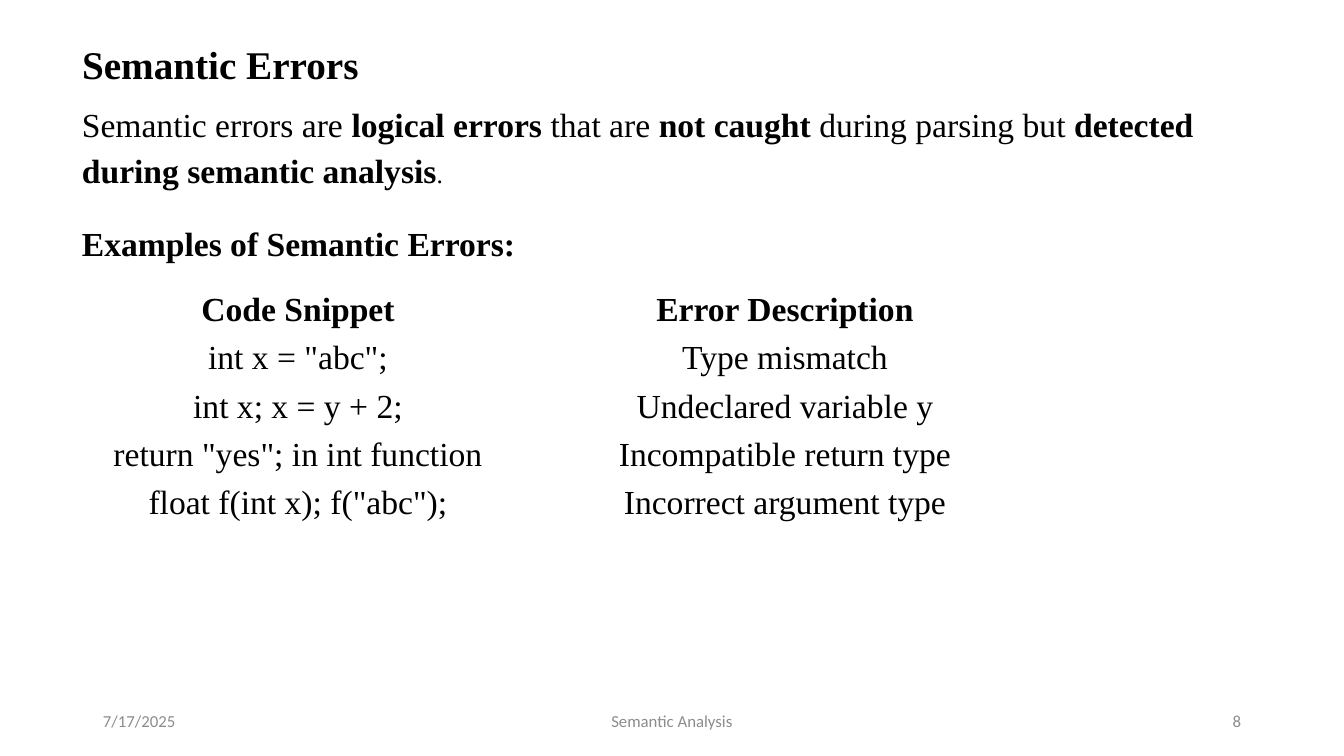
"""Build the Semantic Errors slide with its table of code snippets."""
from pptx import Presentation
from pptx.dml.color import RGBColor
from pptx.enum.text import MSO_ANCHOR, MSO_AUTO_SIZE, PP_ALIGN
from pptx.util import Emu, Pt

COLORS = {"text": "000000", "footer": "8C8C8C"}
SERIF = "Times New Roman"
BODY = {"line_spacing": 1.15, "space_before": Pt(0), "space_after": Pt(8)}


def px(length):
    return Emu(round(length * 914400 / 100.8))


def write(para, spans, layout, size=24, font=SERIF, color="text"):
    for name, value in layout.items():
        setattr(para, name, value)
    for text, bold, *own_size in spans:
        span = para.add_run()
        span.text = text
        span.font.color.rgb = RGBColor.from_string(COLORS[color])
        looks = {"name": font, "size": Pt(own_size[0] if own_size else size), "bold": bold}
        for name, value in looks.items():
            setattr(span.font, name, value)


deck = Presentation()
deck.slide_width, deck.slide_height = px(1344), px(756)
page = deck.slides.add_slide(deck.slide_layouts[5])

title = page.shapes.title
title.left, title.top, title.width, title.height = px(72), px(28), px(1151), px(65)
frame_format = {
    "word_wrap": True,
    "auto_size": MSO_AUTO_SIZE.NONE,
    "vertical_anchor": MSO_ANCHOR.TOP,
}
for name, value in frame_format.items():
    setattr(title.text_frame, name, value)
write(title.text_frame.paragraphs[0], [("Semantic Errors", True)],
      BODY | {"alignment": PP_ALIGN.LEFT}, size=28)

intro = [
    ("Semantic errors are ", False),
    ("logical errors", True),
    (" that are ", False),
    ("not caught", True),
    (" during parsing but ", False),
    ("detected during semantic analysis", True),
    (".", False, 18),
]
texts = [
    (72, 93, 1151, 102, intro),
    (72, 212, 672, 54, [("Examples of Semantic Errors:", True)]),
]
for left, top, width, height, spans in texts:
    box = page.shapes.add_textbox(px(left), px(top), px(width), px(height))
    box.text_frame.word_wrap = True
    write(box.text_frame.paragraphs[0], spans, BODY)

rows = [
    ("Code Snippet", "Error Description"),
    ('int x = "abc";', "Type mismatch"),
    ("int x; x = y + 2;", "Undeclared variable y"),
    ('return "yes"; in int function', "Incompatible return type"),
    ('float f(int x); f("abc");', "Incorrect argument type"),
]
widths = [410, 564]
table = page.shapes.add_table(len(rows), len(widths), px(93), px(283),
                              px(sum(widths)), px(44 * len(rows))).table
table.first_row = table.horz_banding = False
for column, width in zip(table.columns, widths):
    column.width = px(width)
cell_format = {f"margin_{side}": px(1) for side in ("left", "right", "top", "bottom")}
cell_format["vertical_anchor"] = MSO_ANCHOR.MIDDLE
for row_number, row in enumerate(rows):
    for column_number, text in enumerate(row):
        cell = table.cell(row_number, column_number)
        cell.fill.background()
        for name, value in cell_format.items():
            setattr(cell, name, value)
        write(cell.text_frame.paragraphs[0], [(text, row_number == 0)],
              BODY | {"alignment": PP_ALIGN.CENTER})

footers = [
    (93, 302, "7/17/2025", PP_ALIGN.LEFT),
    (445, 454, "Semantic Analysis", PP_ALIGN.CENTER),
    (949, 302, "8", PP_ALIGN.RIGHT),
]
for left, width, text, alignment in footers:
    box = page.shapes.add_textbox(px(left), px(701), px(width), px(40))
    box.text_frame.word_wrap = True
    box.text_frame.vertical_anchor = MSO_ANCHOR.MIDDLE
    write(box.text_frame.paragraphs[0], [(text, False)], {"alignment": alignment},
          size=12, font="Calibri", color="footer")

deck.save("out.pptx")
